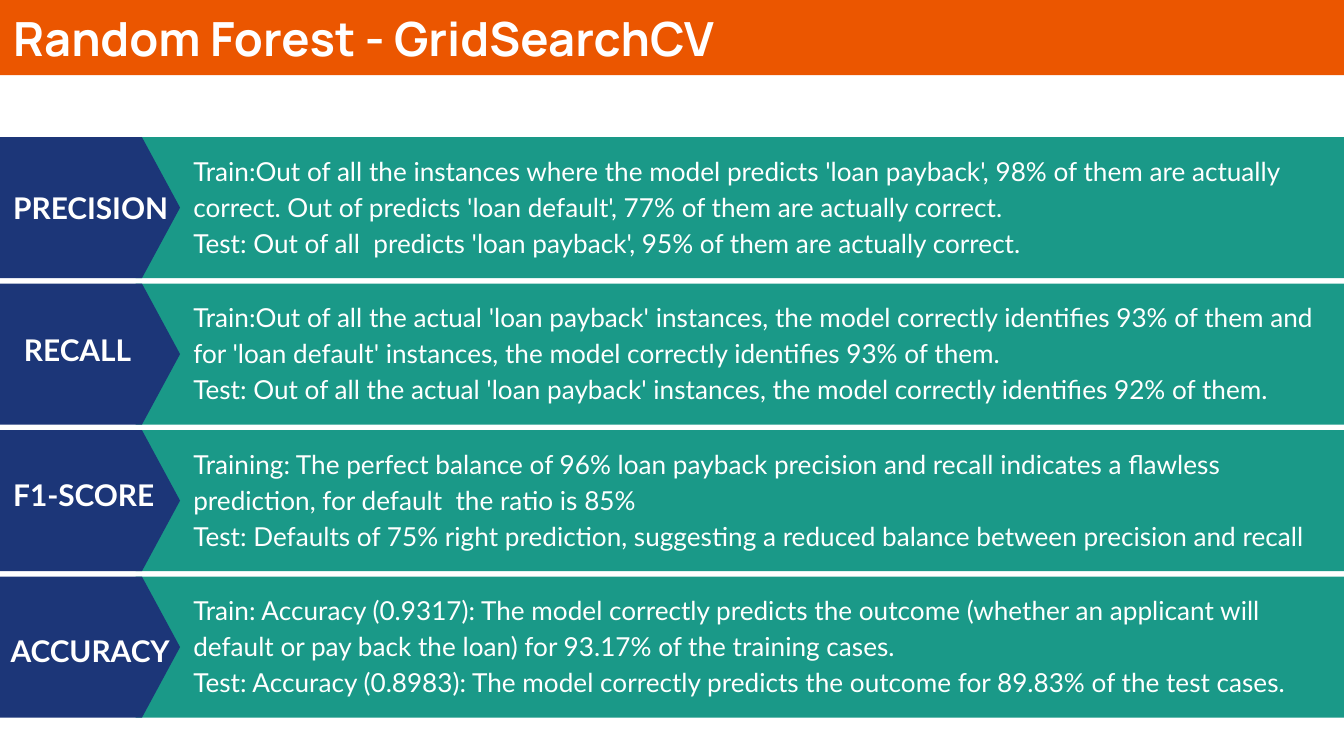
from pptx import Presentation
from pptx.dml.color import RGBColor
from pptx.enum.shapes import MSO_SHAPE
from pptx.enum.text import MSO_ANCHOR, MSO_AUTO_SIZE, PP_ALIGN
from pptx.util import Inches, Pt

WIDTH = 10
HEIGHT = WIDTH * 9 / 16
TITLE = "Random Forest - GridSearchCV"
ORANGE, TEAL, NAVY, WHITE = "EB5600", "1A9988", "1C3678", "FFFFFF"
FIRST_TOP, ROW_STEP, ROW_HEIGHT = 1.02, 1.09, 1.05
BAND_LEFT, ARROW_WIDTH = 1.01, 1.34
LABEL_WIDTH, LABEL_HEIGHT, LABEL_INDENT = 3.28, 0.47, 0.5

METRICS = [
    ("PRECISION", -0.5, 0.25, [
        "Train:Out of all the instances where the model predicts 'loan payback', 98% of them are actually correct. Out of predicts 'loan default', 77% of them are actually correct.",
        "Test: Out of all  predicts 'loan payback', 95% of them are actually correct.",
    ]),
    ("RECALL", -0.42, 0.22, [
        "Train:Out of all the actual 'loan payback' instances, the model correctly identifies 93% of them and for 'loan default' instances, the model correctly identifies 93% of them.",
        "Test: Out of all the actual 'loan payback' instances, the model correctly identifies 92% of them.",
    ]),
    ("F1-SCORE", -0.5, 0.21, [
        "Training: The perfect balance of 96% loan payback precision and recall indicates a flawless prediction, for default  the ratio is 85%",
        "Test: Defaults of 75% right prediction, suggesting a reduced balance between precision and recall",
    ]),
    ("ACCURACY", -0.52, 0.28, [
        "Train: Accuracy (0.9317): The model correctly predicts the outcome (whether an applicant will default or pay back the loan) for 93.17% of the training cases.",
        "Test: Accuracy (0.8983): The model correctly predicts the outcome for 89.83% of the test cases.",
    ]),
]


def color(value):
    return RGBColor.from_string(value)


def add_block(shapes, kind, box, fill):
    shape = shapes.add_shape(kind, *map(Inches, box))
    shape.shadow.inherit = False
    shape.fill.solid()
    shape.fill.fore_color.rgb = color(fill)
    shape.line.fill.background()
    return shape


def write(shape, texts, size, font, bold=False, spacing=1.0, after=0, indent=0):
    frame = shape.text_frame
    frame.word_wrap = True
    frame.margin_left = frame.margin_right = Inches(0.1)
    frame.margin_top = frame.margin_bottom = Inches(0.1)
    for index, text in enumerate(texts):
        paragraph = frame.add_paragraph() if index else frame.paragraphs[0]
        paragraph.alignment = PP_ALIGN.LEFT
        paragraph.line_spacing = spacing
        paragraph.space_after = Pt(after)
        if indent:
            properties = paragraph._p.get_or_add_pPr()
            properties.set("marL", str(Inches(indent)))
            properties.set("indent", "0")
        run = paragraph.add_run()
        run.text = text
        run.font.size = Pt(size)
        run.font.name = font
        run.font.bold = bold
        run.font.color.rgb = color(WHITE)
    return frame


def add_text(slide, box, texts, size, **style):
    textbox = slide.shapes.add_textbox(*map(Inches, box))
    frame = write(textbox, texts, size, "Lato", spacing=1.15, **style)
    frame.auto_size = MSO_AUTO_SIZE.SHAPE_TO_FIT_TEXT


def add_metric(slide, top, label, label_left, label_drop, texts):
    group = slide.shapes.add_group_shape()
    add_block(group.shapes, MSO_SHAPE.RECTANGLE,
              (BAND_LEFT, top, WIDTH - BAND_LEFT, ROW_HEIGHT), TEAL)
    arrow = add_block(group.shapes, MSO_SHAPE.PENTAGON,
                      (0, top, ARROW_WIDTH, ROW_HEIGHT), NAVY)
    arrow.adjustments[0] = 0.27
    add_text(slide, (label_left, top + label_drop, LABEL_WIDTH, LABEL_HEIGHT),
             [label], 16, bold=True, after=15, indent=LABEL_INDENT)
    add_text(slide, (ARROW_WIDTH, top, WIDTH - ARROW_WIDTH, 0.98), texts, 14)


def main():
    """Build the slide of model metrics and save it."""
    presentation = Presentation()
    presentation.slide_width = Inches(WIDTH)
    presentation.slide_height = Inches(HEIGHT)
    slide = presentation.slides.add_slide(presentation.slide_layouts[6])
    for row, metric in enumerate(METRICS):
        add_metric(slide, FIRST_TOP + row * ROW_STEP, *metric)
    title = add_block(slide.shapes, MSO_SHAPE.RECTANGLE,
                      (0, -0.03, WIDTH, 0.59), ORANGE)
    frame = write(title, [TITLE], 25.2, "Manrope", bold=True)
    frame.margin_top = Inches(0.13)
    frame.vertical_anchor = MSO_ANCHOR.MIDDLE
    presentation.save("out.pptx")


if __name__ == "__main__":
    main()
